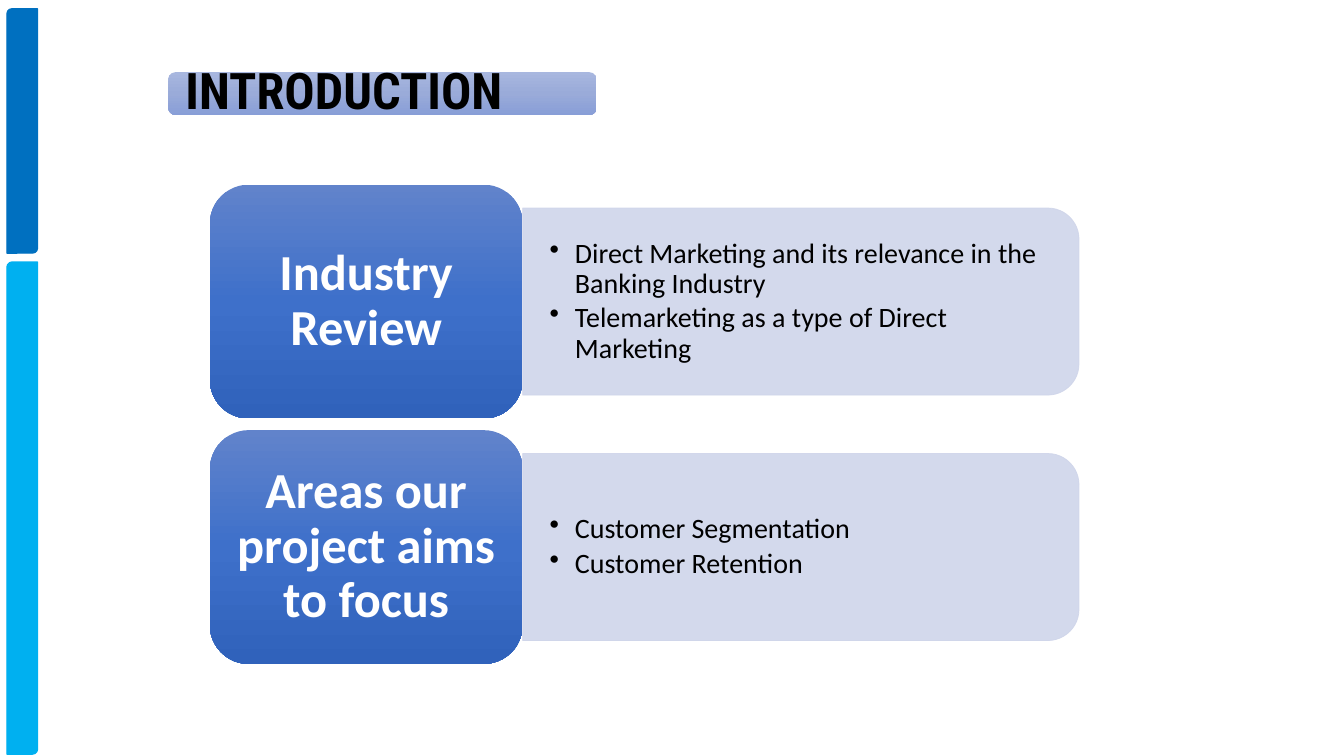
import copy
import pptx
import pptx.util
import pptx.dml.color
import pptx.enum.shapes
import pptx.enum.text
from lxml import etree

Pt = pptx.util.Pt
SHAPE = pptx.enum.shapes.MSO_SHAPE
ALIGN = pptx.enum.text.PP_ALIGN

# Content
TITLE = "INTRODUCTION"
ROWS = [
    ("Industry Review",
     ["Direct Marketing and its relevance in the Banking Industry",
      "Telemarketing as a type of Direct Marketing"]),
    ("Areas our project aims to focus",
     ["Customer Segmentation", "Customer Retention"]),
]
SIDE_BARS = [(6.3, 174.5, "0070C0"), (187.2, 351.5, "00B0F0")]  # top, height, colour
TITLE_GRADIENT = ["A8B7DF", "9AABD9", "889ED7"]
CARD_GRADIENT = ["6183CB", "3E70CA", "3062BB"]
PANEL_COLOR = "CFD5EA"

# Layout
CARD_X, CARD_Y, CARD_W, CARD_H = 149.9, 131.9, 223.4, 167
PITCH = CARD_H * 1.05
PANEL_W, PANEL_H = 397.4, CARD_H * 0.8


def rgb(hex_color):
    return pptx.dml.color.RGBColor.from_string(hex_color)


def add_shape(kind, x, y, w, h):
    sp = s.shapes.add_shape(kind, Pt(x), Pt(y), Pt(w), Pt(h))
    sp.shadow.inherit = False
    sp.line.fill.background()
    return sp


def fill_solid(sp, color, line_width):
    sp.fill.solid()
    sp.fill.fore_color.rgb = rgb(color)
    sp.line.color.rgb = rgb(color)
    sp.line.width = Pt(line_width)


def fill_gradient(sp, colors):
    sp.fill.gradient()
    sp.fill.gradient_angle = 270
    first = sp._element.spPr.find(".//" + pptx.oxml.ns.qn("a:gs"))
    first.addnext(copy.deepcopy(first))
    for i, (stop, color) in enumerate(zip(sp.fill.gradient_stops, colors)):
        stop.color.rgb = rgb(color)
        stop.position = i / 2


def add_text(box, lines, size, color, font="Calibri", bold=False,
             align=ALIGN.LEFT, inset=(10.6, 5.3), bullet=False):
    tf = s.shapes.add_textbox(*map(Pt, box)).text_frame
    tf.word_wrap = True
    tf.vertical_anchor = pptx.enum.text.MSO_ANCHOR.MIDDLE
    tf.margin_left = tf.margin_right = Pt(inset[0])
    tf.margin_top = tf.margin_bottom = Pt(inset[1])
    for i, line in enumerate(lines):
        p = tf.paragraphs[0] if i == 0 else tf.add_paragraph()
        p.text = line
        p.alignment = align
        p.line_spacing = 0.9
        p.font.size, p.font.name, p.font.bold = Pt(size), font, bold
        p.font.color.rgb = rgb(color)
        if bullet:
            p.level = 1
            p.space_after = Pt(3)
            pPr = p._p.get_or_add_pPr()
            pPr.set("marL", str(Pt(18)))
            pPr.set("indent", str(Pt(-18)))
            mark = etree.Element(pptx.oxml.ns.qn("a:buChar"), char="•")
            pPr.find(pptx.oxml.ns.qn("a:spcAft")).addnext(mark)


prs = pptx.Presentation()
prs.slide_width, prs.slide_height = Pt(960), Pt(540)
s = prs.slides.add_slide(prs.slide_layouts[6])

# Side bars
for top, height, color in SIDE_BARS:
    fill_solid(add_shape(SHAPE.ROUND_2_DIAG_RECTANGLE, 5, top, 21.8, height), color, 1)

# Title
fill_gradient(add_shape(SHAPE.ROUNDED_RECTANGLE, 120.2, 51.6, 306, 30.5), TITLE_GRADIENT)
add_text((121.7, 53.1, 303, 27.5), [TITLE], 36, "000000", "Roboto Condensed",
         bold=True, inset=(10.8, 10.8))

# Rows: panel with bullets, then card with heading
for i, (heading, bullets) in enumerate(ROWS):
    top = CARD_Y + i * PITCH
    mid = top + CARD_H / 2
    panel_x = CARD_X + CARD_W
    panel = add_shape(SHAPE.ROUND_2_SAME_RECTANGLE, panel_x + (PANEL_W - PANEL_H) / 2,
                      mid - PANEL_W / 2, PANEL_H, PANEL_W)
    panel.rotation = 90
    fill_solid(panel, PANEL_COLOR, 0.5)
    for clr in panel._element.spPr.iter(pptx.oxml.ns.qn("a:srgbClr")):
        etree.SubElement(clr, pptx.oxml.ns.qn("a:alpha"), val="90000")
    add_text((panel_x, mid - 60.5, 391, 121), bullets, 20, "000000",
             inset=(19.4, 10), bullet=True)

    card = add_shape(SHAPE.ROUNDED_RECTANGLE, CARD_X, top, CARD_W, CARD_H)
    fill_gradient(card, CARD_GRADIENT)
    add_text((CARD_X + 8.2, top + 8.2, CARD_W - 16.4, CARD_H - 16.4), [heading],
             36, "FFFFFF", bold=True, align=ALIGN.CENTER)

prs.save("out.pptx")
